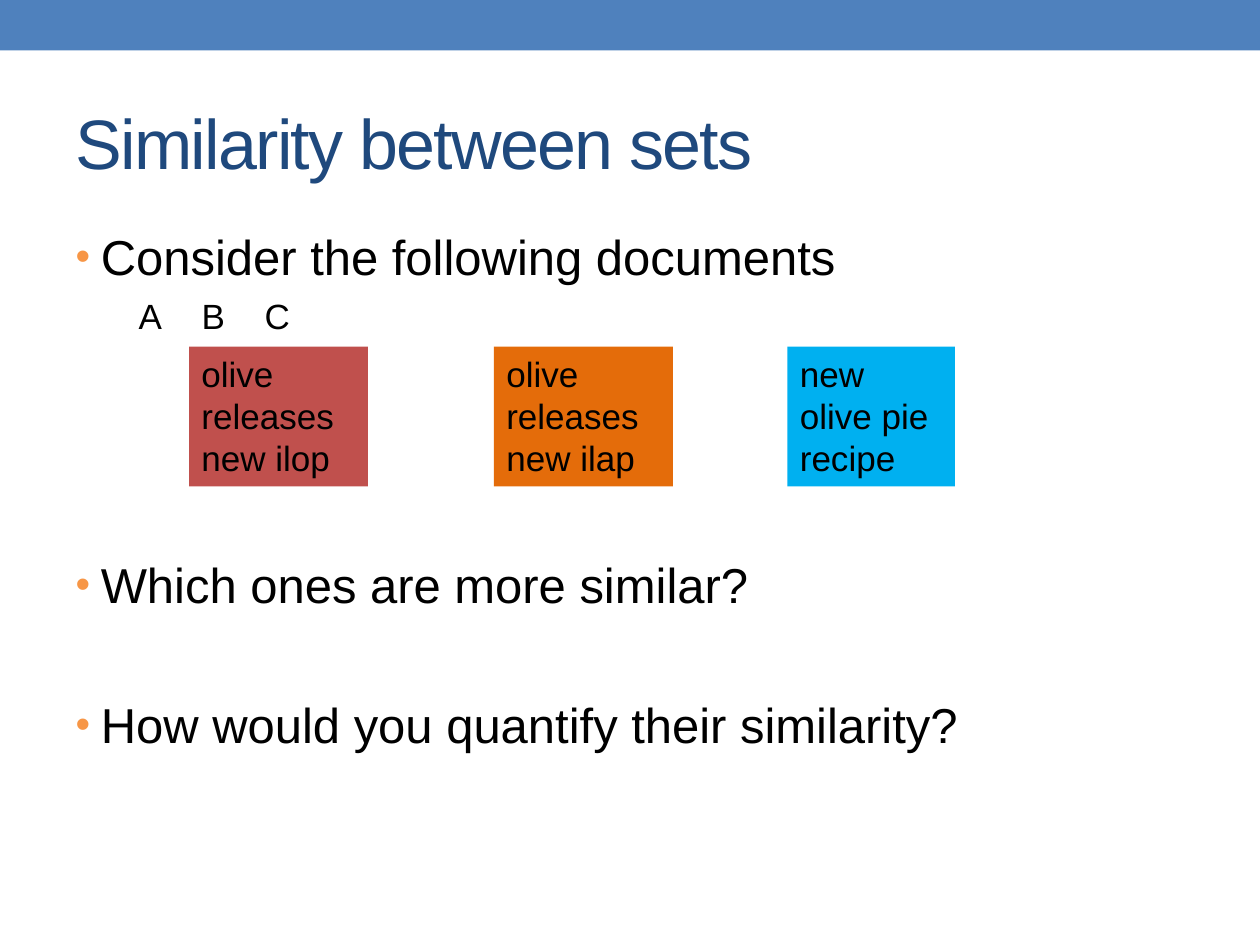
from lxml import etree
from pptx import Presentation
from pptx import util as u
from pptx.dml.color import RGBColor
from pptx.enum import shapes, text
from pptx.oxml.ns import qn

COLORS = {"bar": "4F81BD", "title": "1F497D", "text": "000000", "bullet": "F79646",
          "A": "C0504D", "B": "E46C0A", "C": "00B0F0"}
SLIDE_W, SLIDE_H = 10, 7.5
DOCUMENTS = [("A", "olive releases new ilop", 1.5, 1.42),
             ("B", "olive releases new ilap", 3.92, 1.42),
             ("C", "new olive pie recipe", 6.25, 1.33)]
LABEL_TABS = [1.69, 4.24, 6.48]
POINTS = [("Consider the following documents", 3),
          ("\t" + "\t".join(name for name, *_ in DOCUMENTS), 4.8),
          ("Which ones are more similar?", 125),
          ("How would you quantify their similarity?", 46.3)]


def place(part, left, top, width, height):
    """Move a part to a box given in inches."""
    box = {"left": left, "top": top, "width": width, "height": height}
    for name, value in box.items():
        setattr(part, name, u.Inches(value))


def style(paragraph, size, color, **formats):
    """Format a paragraph and its runs."""
    for name, value in formats.items():
        setattr(paragraph, name, value)
    for run in paragraph.runs:
        run.font.name, run.font.size = "Arial", u.Pt(size)
        run.font.color.rgb = RGBColor.from_string(COLORS[color])


def add_block(slide, color, *box):
    """Add a plain filled rectangle."""
    block = slide.shapes.add_shape(shapes.MSO_SHAPE.RECTANGLE, *map(u.Inches, box))
    block.shadow.inherit = False
    block.fill.solid()
    block.fill.fore_color.rgb = RGBColor.from_string(COLORS[color])
    block.line.fill.background()
    return block


def set_bullet(paragraph):
    """Give a paragraph a hanging coloured bullet."""
    props = paragraph._p.get_or_add_pPr()
    props.set("marL", str(u.Inches(0.2)))
    props.set("indent", str(-u.Inches(0.2)))
    color = etree.SubElement(props, qn("a:buClr"))
    etree.SubElement(color, qn("a:srgbClr"), val=COLORS["bullet"])
    etree.SubElement(props, qn("a:buSzPct"), val="85000")
    etree.SubElement(props, qn("a:buFont"), typeface="Arial")
    etree.SubElement(props, qn("a:buChar"), char="•")


def set_label_tabs(paragraph):
    """Centre the document labels on tab stops."""
    props = paragraph._p.get_or_add_pPr()
    props.set("marL", "0")
    props.set("indent", "0")
    etree.SubElement(props, qn("a:buNone"))
    stops = etree.SubElement(props, qn("a:tabLst"))
    for position in LABEL_TABS:
        etree.SubElement(stops, qn("a:tab"), pos=str(u.Inches(position)), algn="ctr")


def fill_title(title, *box):
    """Write the slide title."""
    place(title, *box)
    title.text_frame.text = "Similarity between sets"
    title.text_frame.vertical_anchor = text.MSO_ANCHOR.MIDDLE
    heading = title.text_frame.paragraphs[0]
    style(heading, 40, "title", alignment=text.PP_ALIGN.LEFT)
    heading.runs[0].font._element.set("spc", "-100")


def fill_points(body, *box):
    """Write the bulleted points and the row of document labels."""
    place(body, *box)
    frame = body.text_frame
    frame.auto_size = text.MSO_AUTO_SIZE.NONE
    for index, (wording, gap) in enumerate(POINTS):
        point = frame.paragraphs[0] if index == 0 else frame.add_paragraph()
        point.add_run().text = wording
        is_labels = wording.startswith("\t")
        style(point, 20 if is_labels else 28, "text", space_before=u.Pt(gap))
        (set_label_tabs if is_labels else set_bullet)(point)


def add_documents(slide, top, height):
    """Add the row of document boxes."""
    for name, wording, left, width in DOCUMENTS:
        document = add_block(slide, name, left, top, width, height)
        frame = document.text_frame
        frame.text = wording
        frame.word_wrap = True
        frame.vertical_anchor = text.MSO_ANCHOR.TOP
        frame.auto_size = text.MSO_AUTO_SIZE.SHAPE_TO_FIT_TEXT
        style(frame.paragraphs[0], 20, "text", alignment=text.PP_ALIGN.LEFT)


def build():
    """Build and save the slide."""
    deck = Presentation()
    deck.slide_width, deck.slide_height = u.Inches(SLIDE_W), u.Inches(SLIDE_H)
    slide = deck.slides.add_slide(deck.slide_layouts[1])
    add_block(slide, "bar", 0, 0, SLIDE_W, 0.4)
    margin = 0.05 * SLIDE_W
    fill_title(slide.shapes.title, margin, 0.58, SLIDE_W - 2 * margin, 1.08)
    fill_points(slide.placeholders[1], margin, 1.75, SLIDE_W - 2 * margin, 5.33)
    add_documents(slide, 2.75, 1.11)
    deck.save("out.pptx")


build()
